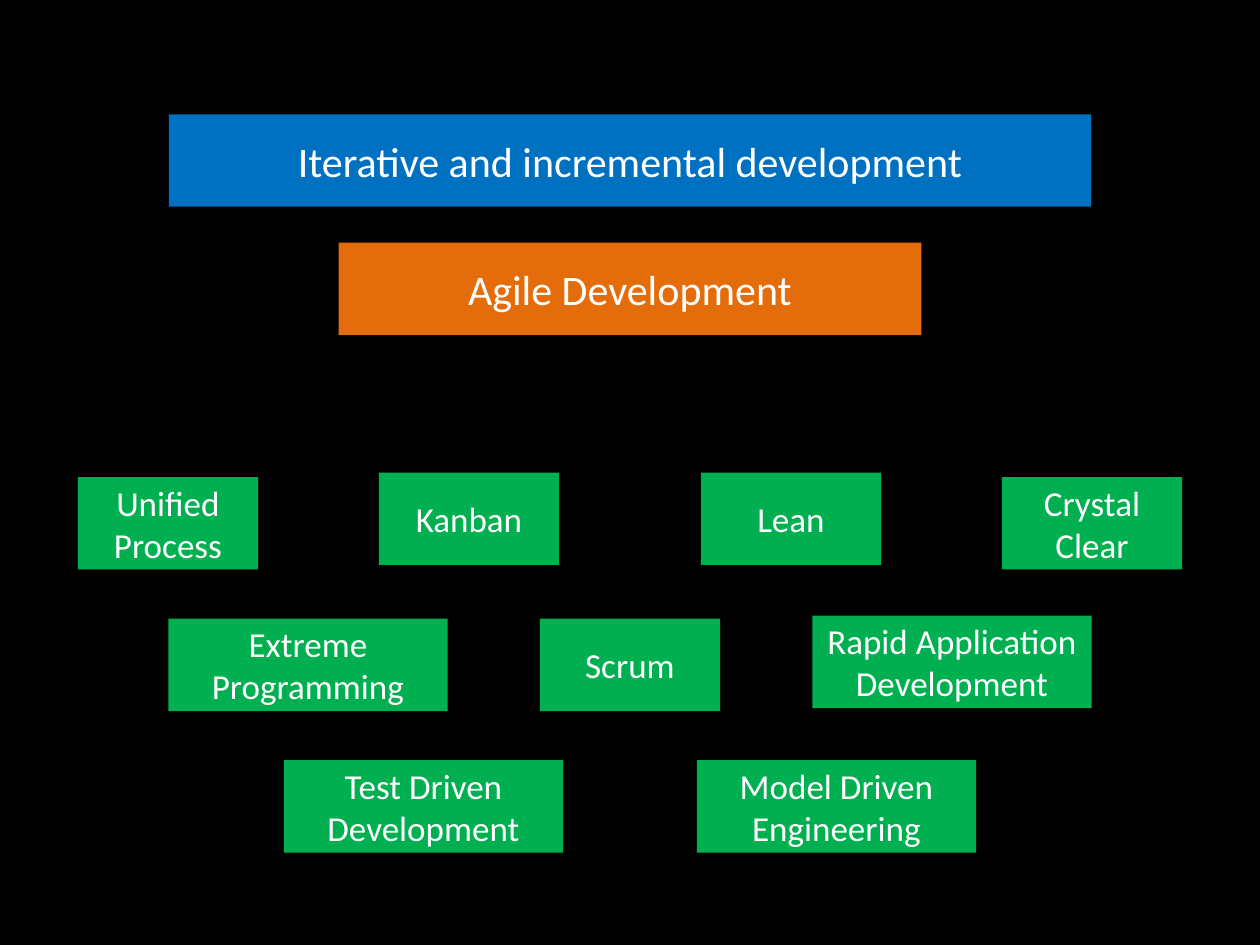
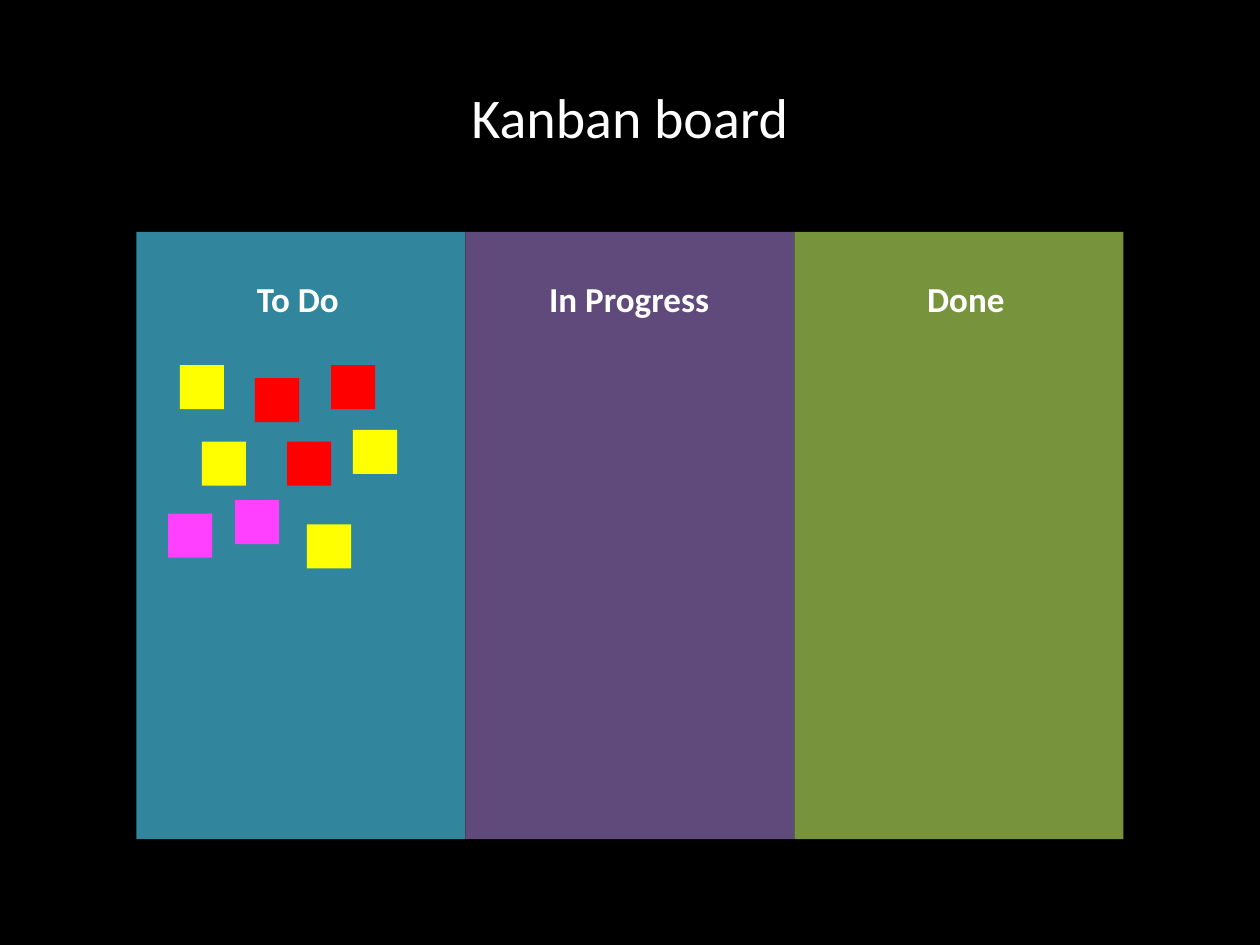
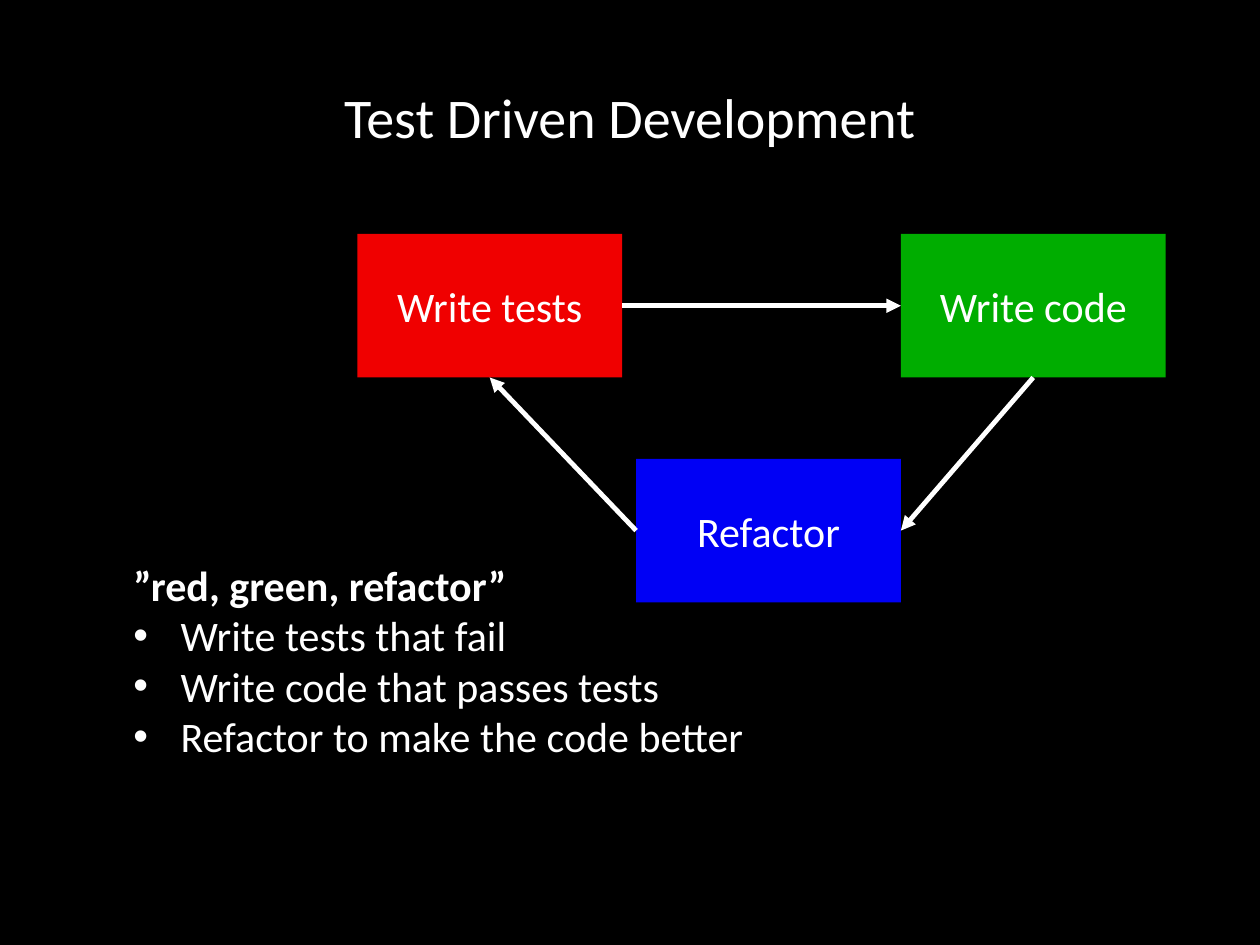
from dataclasses import dataclass
from lxml import etree
from pptx import Presentation
from pptx import util as u
from pptx.dml.color import RGBColor
from pptx.enum import shapes, text
from pptx.oxml.ns import qn

Pt = u.Pt


@dataclass(frozen=True)
class Theme:
    font: str = "Calibri"
    background: str = "000000"
    ink: str = "FFFFFF"
    family: str = "0070C0"
    agile: str = "E46C0A"
    method: str = "00B050"
    yellow: str = "FFFF00"
    red: str = "FF0000"
    pink: str = "FF40FF"
    title: float = 32
    large: float = 24
    medium: float = 20
    arrow: float = 2.75


THEME = Theme()
WIDTH, HEIGHT = 720, 540
TITLE_AREA = (36, 21.6, 648, 90)

BAND_HEIGHT = 52.8
NARROW, WIDE = 103, 159.6
BANDS = [
    ("Iterative and incremental development", 65.3, 527, THEME.family),
    ("Agile Development", 138.7, 333, THEME.agile),
]
METHODS = [
    ("Unified Process", -264, 272.6, NARROW),
    ("Kanban", -92, 270, NARROW),
    ("Lean", 92, 270, NARROW),
    ("Crystal Clear", 264, 272.6, NARROW),
    ("Extreme Programming", -184, 353.5, WIDE),
    ("Scrum", 0, 353.5, NARROW),
    ("Rapid Application Development", 184, 351.8, WIDE),
    ("Test Driven Development", -118, 434.4, WIDE),
    ("Model Driven Engineering", 118, 434.4, WIDE),
]

BOARD_TITLE = "Kanban board"
COLUMN_TOP, COLUMN_WIDTH, COLUMN_HEIGHT = 132.5, 188, 347
COLUMNS = [
    ("To Do", "31859C", 139.7, 61.9),
    ("In Progress", "604A7B", 306.7, 106.6),
    ("Done", "77933C", 522.7, 59),
]
NOTE_SIZE = 25.2
NOTES = {
    THEME.yellow: [(102.8, 208.6), (115.4, 252.4), (201.7, 245.6), (175.4, 299.6)],
    THEME.red: [(145.7, 216), (189.2, 208.6), (164, 252.4)],
    THEME.pink: [(96, 293.5), (134.4, 285.8)],
}

CYCLE_TITLE = "Test Driven Development"
STEP_WIDTH, STEP_HEIGHT = 151.3, 82
STEPS = [
    ("Write tests", 204.2, 133.7, "F00000"),
    ("Write code", 514.8, 133.7, "00AD00"),
    ("Refactor", 363.5, 262.2, "0000F5"),
]
TOP, LEFT, BOTTOM, RIGHT = range(4)
ARROWS = [(0, RIGHT, 1, LEFT), (1, BOTTOM, 2, RIGHT), (2, LEFT, 0, BOTTOM)]
MOTTO = "”red, green, refactor”"
RULES = [
    "Write tests that fail",
    "Write code that passes tests",
    "Refactor to make the code better",
]
RULE_INDENT = 27


def colour(value):
    return RGBColor.from_string(value)


def write(para, words, *, size, bold=False, align=None, bullet=False):
    if bullet:
        props = para._p.get_or_add_pPr()
        props.set("marL", str(Pt(RULE_INDENT)))
        props.set("indent", str(-Pt(RULE_INDENT)))
        etree.SubElement(props, qn("a:buFont"), typeface="Arial")
        etree.SubElement(props, qn("a:buChar"), char="•")
    if align is not None:
        para.alignment = align
    span = para.add_run()
    span.text = words
    span.font.name = THEME.font
    span.font.size = Pt(size)
    span.font.bold = bold
    span.font.color.rgb = colour(THEME.ink)


def add_rectangle(page, left, top, width, height, fill, words=None, size=THEME.large):
    box = page.shapes.add_shape(
        shapes.MSO_SHAPE.RECTANGLE, Pt(left), Pt(top), Pt(width), Pt(height)
    )
    box.shadow.inherit = False
    box.fill.solid()
    box.fill.fore_color.rgb = colour(fill)
    box.line.fill.background()
    if words:
        frame = box.text_frame
        frame.word_wrap = True
        frame.vertical_anchor = text.MSO_ANCHOR.MIDDLE
        write(frame.paragraphs[0], words, size=size, align=text.PP_ALIGN.CENTER)
    return box


def add_label(page, left, top, width, height):
    frame = page.shapes.add_textbox(Pt(left), Pt(top), Pt(width), Pt(height)).text_frame
    frame.word_wrap = False
    frame.auto_size = text.MSO_AUTO_SIZE.SHAPE_TO_FIT_TEXT
    return frame


def add_page(deck, title=None):
    page = deck.slides.add_slide(deck.slide_layouts[6])
    if title:
        frame = page.shapes.add_textbox(*map(Pt, TITLE_AREA)).text_frame
        frame.word_wrap = True
        frame.vertical_anchor = text.MSO_ANCHOR.MIDDLE
        write(frame.paragraphs[0], title, size=THEME.title, align=text.PP_ALIGN.CENTER)
    return page


def add_arrow(page, start, start_side, end, end_side):
    arrow = page.shapes.add_connector(shapes.MSO_CONNECTOR.STRAIGHT, 0, 0, 0, 0)
    arrow.begin_connect(start, start_side)
    arrow.end_connect(end, end_side)
    arrow.line.color.rgb = colour(THEME.ink)
    arrow.line.width = Pt(THEME.arrow)
    etree.SubElement(arrow.line._get_or_add_ln(), qn("a:tailEnd"), type="triangle")
    etree.SubElement(arrow._element.spPr, qn("a:effectLst"))


def build_methods(deck):
    page = add_page(deck)
    for words, top, width, fill in BANDS:
        add_rectangle(page, (WIDTH - width) / 2, top, width, BAND_HEIGHT, fill, words)
    for words, offset, top, width in METHODS:
        left = (WIDTH - width) / 2 + offset
        add_rectangle(page, left, top, width, BAND_HEIGHT, THEME.method, words, THEME.medium)


def build_board(deck):
    page = add_page(deck, BOARD_TITLE)
    board_left = (WIDTH - len(COLUMNS) * COLUMN_WIDTH) / 2
    for index, (heading, fill, label_left, label_width) in enumerate(COLUMNS):
        left = board_left + index * COLUMN_WIDTH
        add_rectangle(page, left, COLUMN_TOP, COLUMN_WIDTH, COLUMN_HEIGHT, fill)
        frame = add_label(page, label_left, 154.8, label_width, 31.5)
        write(frame.paragraphs[0], heading, size=THEME.medium, bold=True)
    for fill, places in NOTES.items():
        for left, top in places:
            add_rectangle(page, left, top, NOTE_SIZE, NOTE_SIZE, fill)


def build_cycle(deck):
    page = add_page(deck, CYCLE_TITLE)
    steps = [
        add_rectangle(page, left, top, STEP_WIDTH, STEP_HEIGHT, fill, words)
        for words, left, top, fill in STEPS
    ]
    for start, start_side, end, end_side in ARROWS:
        add_arrow(page, steps[start], start_side, steps[end], end_side)
    frame = add_label(page, 69.1, 316.1, 366.5, 123.8)
    write(frame.paragraphs[0], MOTTO, size=THEME.large, bold=True)
    for rule in RULES:
        write(frame.add_paragraph(), rule, size=THEME.large, bullet=True)


def main():
    deck = Presentation()
    deck.slide_width, deck.slide_height = Pt(WIDTH), Pt(HEIGHT)
    backdrop = deck.slide_master.background.fill
    backdrop.solid()
    backdrop.fore_color.rgb = colour(THEME.background)
    build_methods(deck)
    build_board(deck)
    build_cycle(deck)
    deck.save("out.pptx")


if __name__ == "__main__":
    main()
